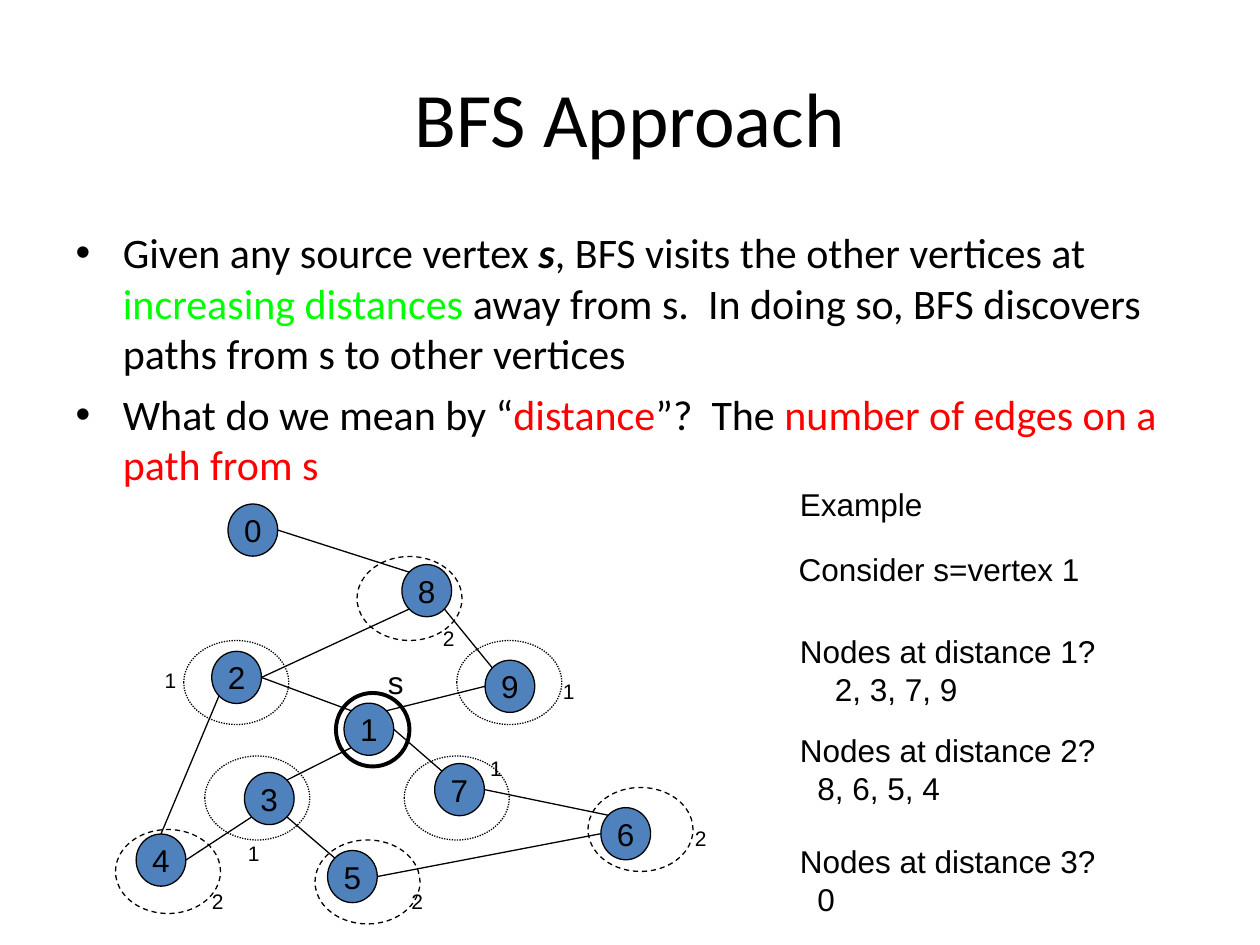
"""Build the slide that explains breadth-first search by distance from a source vertex."""
from dataclasses import dataclass
from math import cos, radians, sin

from lxml.etree import SubElement
from pptx import Presentation
from pptx.dml.color import RGBColor
from pptx.enum.dml import MSO_LINE
from pptx.enum.shapes import MSO_CONNECTOR, MSO_SHAPE
from pptx.enum.text import MSO_ANCHOR, MSO_AUTO_SIZE, PP_ALIGN
from pptx.oxml.ns import qn
from pptx.util import Pt


@dataclass(frozen=True)
class Theme:
    ink: str = "000000"
    vertex: str = "4F81BD"
    green: str = "00FF00"
    red: str = "FF0000"
    heading_font: str = "Calibri"
    figure_font: str = "Arial"
    title_size: int = 44
    list_size: int = 24
    figure_size: int = 18
    distance_size: int = 12
    thin: float = 0.75
    thick: float = 2.25


THEME = Theme()
VERTEX_SIZE = (28.4, 29.8)
HALO_SIZE = (60, 48)
ANGLES = {"E": 0, "SE": 45, "SW": 135, "W": 180, "NW": 225, "N": 270, "NE": 315}

VERTICES = {
    2: (121, 372.2), 4: (77.8, 476.6), 3: (139.7, 441.4), 5: (187.2, 486),
    1: (196.6, 401.8), 7: (248.4, 436.3), 6: (343.4, 461.5),
    9: (277.2, 377.3), 8: (229.7, 322.6), 0: (130.3, 288),
}
EDGES = [
    (0, "E", 8, "NW"), (8, "SE", 9, "NW"), (9, "W", 1, "NE"), (8, "SW", 2, "E"),
    (2, "E", 1, "NW"), (2, "SW", 4, "N"), (4, "E", 3, "SW"), (3, "NE", 1, "SW"),
    (3, "SE", 5, "NW"), (5, "E", 6, "W"), (1, "E", 7, "NW"), (7, "E", 6, "NW"),
]
LEVELS = [
    ("1", MSO_LINE.ROUND_DOT,
     [(105, 366), (117, 432), (231, 432), (261, 366)],
     [(314.6, 384), (273, 428.4), (87, 378), (134.6, 476.6)]),
    ("2", MSO_LINE.DASH,
     [(204, 318), (66, 474), (180, 480), (336, 450)],
     [(390, 468), (228, 504), (114, 504), (246, 354)]),
]
POINTS = [
    [("Given any source vertex ", {}), ("s", {"bold": True, "italic": True}),
     (", BFS visits the other vertices at ", {}),
     ("increasing distances", {"color": THEME.green}),
     (" away from s.  In doing so, BFS discovers paths from s to other vertices", {})],
    [("What do we mean by “", {}), ("distance", {"color": THEME.red}),
     ("”?  The ", {}), ("number of edges on a path from s", {"color": THEME.red})],
]
EXAMPLE = [
    ((450, 273.6, 86, 29), ["Example"], 0),
    ((449.3, 310.6, 176, 29), ["Consider s=vertex 1"], 0),
    ((450, 357.8, 185, 50.4), ["Nodes at distance 1?", "2, 3, 7, 9"], 20),
    ((450, 414.2, 185, 50.4), ["Nodes at distance 2?", "8, 6, 5, 4"], 10),
    ((450, 477.6, 185, 50.4), ["Nodes at distance 3?", "0"], 10),
]


def write(paragraph, text, *, font=THEME.figure_font, size=THEME.figure_size,
          color=THEME.ink, bold=False, italic=False):
    """Add one formatted run to a paragraph."""
    run = paragraph.add_run()
    run.text = text
    run.font.name, run.font.size = font, Pt(size)
    run.font.bold, run.font.italic = bold, italic
    run.font.color.rgb = RGBColor.from_string(color)


def indent(paragraph, left, first=0):
    """Set the left margin and first-line indent of a paragraph."""
    properties = paragraph._p.get_or_add_pPr()
    properties.set("marL", str(Pt(left)))
    properties.set("indent", str(Pt(first)))


def rim(vertex, side):
    """Return the point on a vertex outline in the given compass direction."""
    (left, top), (width, height) = VERTICES[vertex], VERTEX_SIZE
    angle = radians(ANGLES[side])
    return (left + width / 2 * (1 + cos(angle)), top + height / 2 * (1 + sin(angle)))


class Painter:
    """Hold the theme and the current slide and draw each kind of element."""

    def __init__(self, slide, theme):
        self.slide, self.theme = slide, theme

    def place(self, holder, left, top, width, height):
        """Move a placeholder and return its text frame."""
        holder.left, holder.top = Pt(left), Pt(top)
        holder.width, holder.height = Pt(width), Pt(height)
        frame = holder.text_frame
        frame.auto_size = MSO_AUTO_SIZE.NONE
        return frame

    def title(self, text):
        """Fill the title placeholder."""
        frame = self.place(self.slide.shapes.title, 36, 21.6, 648, 90)
        frame.vertical_anchor = MSO_ANCHOR.MIDDLE
        heading = frame.paragraphs[0]
        heading.alignment = PP_ALIGN.CENTER
        write(heading, text, font=self.theme.heading_font, size=self.theme.title_size)

    def bullets(self, points):
        """Fill the body placeholder with bulleted points."""
        frame = self.place(self.slide.placeholders[1], 36, 126, 648, 356.4)
        for number, point in enumerate(points):
            item = frame.add_paragraph() if number else frame.paragraphs[0]
            indent(item, 27, -27)
            SubElement(item._p.pPr, qn("a:buChar"), char="•")
            item.space_before = Pt(6 if number else 0)
            for text, style in point:
                write(item, text, font=self.theme.heading_font,
                      size=self.theme.list_size, **style)

    def ellipse(self, corner, extent, fill=None, weight=THEME.thin, dash=None):
        """Draw an outlined ellipse."""
        oval = self.slide.shapes.add_shape(MSO_SHAPE.OVAL, *map(Pt, corner + extent))
        oval.shadow.inherit = False
        if fill:
            oval.fill.solid()
            oval.fill.fore_color.rgb = RGBColor.from_string(fill)
        else:
            oval.fill.background()
        oval.line.color.rgb = RGBColor.from_string(self.theme.ink)
        oval.line.width = Pt(weight)
        if dash is not None:
            oval.line.dash_style = dash
        return oval

    def vertex(self, name, corner):
        """Draw a numbered graph vertex."""
        frame = self.ellipse(corner, VERTEX_SIZE, fill=self.theme.vertex).text_frame
        frame.word_wrap = False
        frame.vertical_anchor = MSO_ANCHOR.MIDDLE
        frame.paragraphs[0].alignment = PP_ALIGN.CENTER
        write(frame.paragraphs[0], str(name))

    def edge(self, start, end):
        """Draw a straight edge between two points."""
        link = self.slide.shapes.add_connector(
            MSO_CONNECTOR.STRAIGHT, *map(Pt, start + end))
        link.line.color.rgb = RGBColor.from_string(self.theme.ink)
        link.line.width = Pt(self.theme.thin)
        SubElement(link._element.spPr, qn("a:effectLst"))

    def label(self, bounds, lines, answer_indent=0, **style):
        """Write a text box whose later lines are indented."""
        frame = self.slide.shapes.add_textbox(*map(Pt, bounds)).text_frame
        frame.word_wrap = False
        frame.auto_size = MSO_AUTO_SIZE.SHAPE_TO_FIT_TEXT
        for number, text in enumerate(lines):
            line = frame.add_paragraph() if number else frame.paragraphs[0]
            if number:
                indent(line, answer_indent)
            write(line, text, **style)


def main():
    """Build and save the slide."""
    deck = Presentation()
    deck.slide_width, deck.slide_height = Pt(720), Pt(540)
    painter = Painter(deck.slides.add_slide(deck.slide_layouts[1]), THEME)
    painter.title("BFS Approach")
    painter.bullets(POINTS)
    for name, corner in VERTICES.items():
        painter.vertex(name, corner)
    for source, leaving, target, entering in EDGES:
        painter.edge(rim(source, leaving), rim(target, entering))
    for distance, dash, halos, marks in LEVELS:
        for corner in halos:
            painter.ellipse(corner, HALO_SIZE, dash=dash)
        for corner in marks:
            painter.label(corner + (21, 21.6), [distance], size=THEME.distance_size)
    painter.ellipse((192, 396), (42, 42), weight=THEME.thick)
    painter.label((214.6, 375.1, 24, 29), ["s"])
    for bounds, lines, answer_indent in EXAMPLE:
        painter.label(bounds, lines, answer_indent)
    deck.save("out.pptx")


if __name__ == "__main__":
    main()
